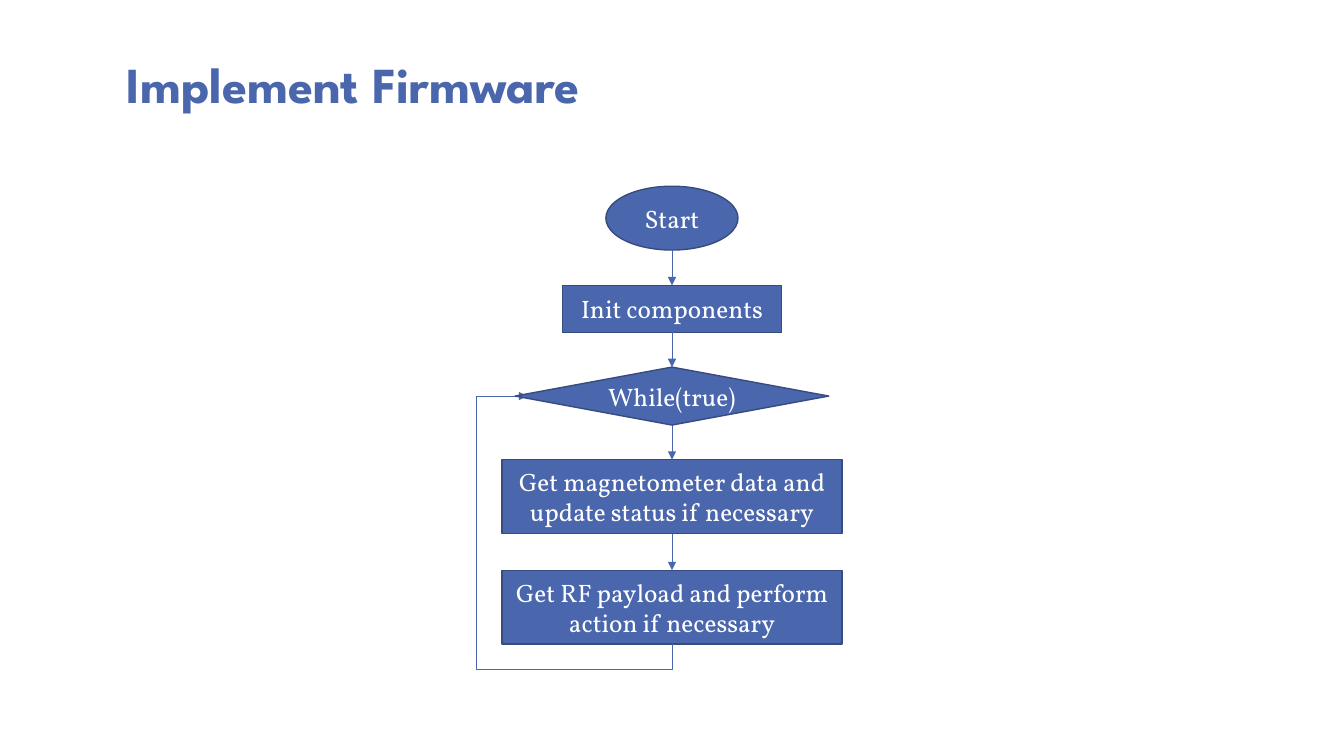
import pptx
import pptx.dml.color
import pptx.enum.shapes
import pptx.enum.text
import pptx.oxml.ns
import pptx.util
from lxml import etree

Pt = pptx.util.Pt
Shape = pptx.enum.shapes.MSO_SHAPE
Connector = pptx.enum.shapes.MSO_CONNECTOR
Anchor = pptx.enum.text.MSO_ANCHOR
Align = pptx.enum.text.PP_ALIGN
qn = pptx.oxml.ns.qn


def color(hex_text):
    return pptx.dml.color.RGBColor.from_string(hex_text)


def write(frame, text, *, font, size, fill, bold=False, align=Align.CENTER,
          anchor=Anchor.MIDDLE, spacing=None):
    frame.word_wrap = True
    frame.auto_size = pptx.enum.text.MSO_AUTO_SIZE.NONE
    frame.vertical_anchor = anchor
    para = frame.paragraphs[0]
    para.alignment = align
    if spacing:
        para.line_spacing = spacing
    span = para.add_run()
    span.text = text
    span.font.name = font
    span.font.size = Pt(size)
    span.font.bold = bold
    span.font.color.rgb = color(fill)


class Flowchart:
    blue, edge, white = "4A66AC", "374B7F", "FFFFFF"
    heading_font, body_font = "League Spartan", "Vollkorn"
    center = 480

    def __init__(self, page):
        self.page = page

    def title(self, text, left, top, width, height, bottom_inset):
        box = self.page.shapes.title
        box.left, box.top, box.width, box.height = map(Pt, (left, top, width, height))
        box.text_frame.margin_bottom = Pt(bottom_inset)
        write(box.text_frame, text, font=self.heading_font, size=36, fill=self.blue,
              bold=True, align=Align.LEFT, anchor=Anchor.BOTTOM, spacing=0.8)

    def step(self, kind, text, top, width, height):
        """Add a flowchart node centred on the chart's axis."""
        box = self.page.shapes.add_shape(
            kind, Pt(self.center - width / 2), Pt(top), Pt(width), Pt(height))
        box.shadow.inherit = False
        box.fill.solid()
        box.fill.fore_color.rgb = color(self.blue)
        box.line.color.rgb = color(self.edge)
        box.line.width = Pt(1)
        write(box.text_frame, text, font=self.body_font, size=18, fill=self.white)
        return box

    def arrow(self, kind, *ends):
        line = self.page.shapes.add_connector(kind, *map(Pt, ends))
        line.line.color.rgb = color(self.blue)
        line.line.width = Pt(0.5)
        etree.SubElement(line.line._get_or_add_ln(), qn("a:tailEnd"), type="triangle")
        etree.SubElement(line._element.spPr, qn("a:effectLst"))
        return line

    def link(self, upper, lower):
        """Join the bottom of one node to the top of the next."""
        line = self.arrow(Connector.STRAIGHT, 0, 0, 0, 0)
        line.begin_connect(upper, 2)
        line.end_connect(lower, 0)
        if upper.auto_shape_type == Shape.OVAL:
            # An ellipse has eight connection sites; its bottom is number 4.
            line._element.find(".//" + qn("a:stCxn")).set("idx", "4")

    def loop_back(self, start_x, start_y, end_x, end_y, drop, overhang):
        """Run an arrow down, left past its end, up, and right into it."""
        across, rise = start_x - end_x, start_y - end_y
        middle_x, middle_y = (start_x + end_x) / 2, (start_y + end_y) / 2
        line = self.arrow(Connector.ELBOW,
                          middle_x + rise / 2, middle_y - across / 2,
                          middle_x - rise / 2, middle_y + across / 2)
        properties = line._element.spPr
        properties.find(qn("a:xfrm")).set("rot", "5400000")
        geometry = properties.find(qn("a:prstGeom"))
        geometry.set("prst", "bentConnector4")
        guides = geometry.find(qn("a:avLst"))
        ratios = {"adj1": -drop / rise, "adj2": 1 + overhang / across}
        for name, ratio in ratios.items():
            etree.SubElement(guides, qn("a:gd"), name=name,
                             fmla=f"val {round(ratio * 100000)}")


def main():
    deck = pptx.Presentation()
    deck.slide_width, deck.slide_height = Pt(960), Pt(540)
    chart = Flowchart(deck.slides.add_slide(deck.slide_layouts[5]))
    chart.title("Implement Firmware", 83.5, 41.8, 684, 84.2, bottom_inset=45)

    steps = [
        (Shape.OVAL, "Start", 133, 94.4, 45.6),
        (Shape.RECTANGLE, "Init components", 203.8, 156.4, 33.6),
        (Shape.DIAMOND, "While(true)", 262.2, 224, 41.4),
        (Shape.RECTANGLE, "Get magnetometer data and update status if necessary",
         328.3, 243, 52.8),
        (Shape.RECTANGLE, "Get RF payload and perform action if necessary",
         407.3, 243, 52.8),
    ]
    boxes = [chart.step(*step) for step in steps]
    for upper, lower in zip(boxes, boxes[1:]):
        chart.link(upper, lower)
    chart.loop_back(480, 460.1, 376.6, 282.9, drop=18, overhang=36)

    # The loop's arrowhead ends beneath the diamond's tip.
    diamond = boxes[2]._element
    diamond.getparent().append(diamond)
    deck.save("out.pptx")


if __name__ == "__main__":
    main()
